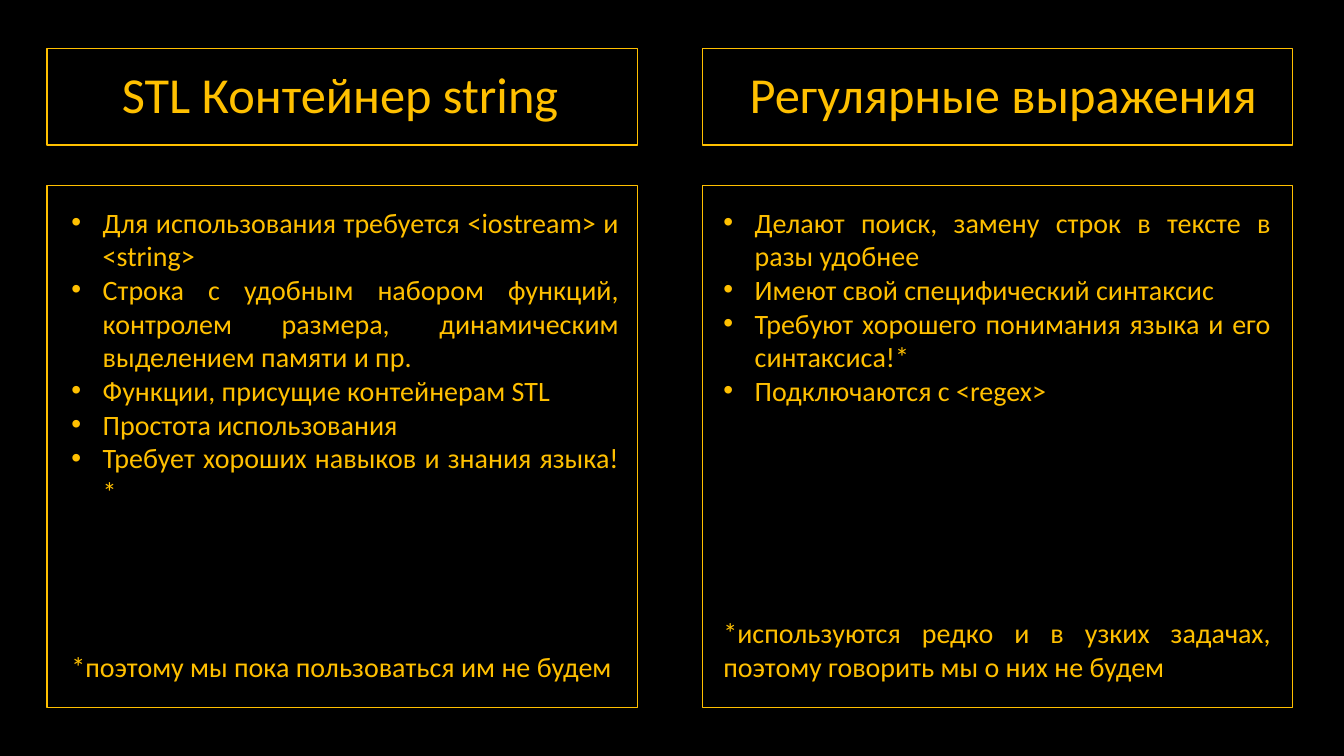
import pptx
import pptx.dml.color
import pptx.enum.shapes
import pptx.enum.text
import pptx.oxml.ns
import pptx.util
import lxml.etree

Cm = pptx.util.Cm
Pt = pptx.util.Pt
Align = pptx.enum.text.PP_ALIGN

GOLD = pptx.dml.color.RGBColor(0xFF, 0xC0, 0x00)
BLACK = pptx.dml.color.RGBColor(0x00, 0x00, 0x00)
FONT = "Calibri"
INDENT = Cm(0.79)

# Each column: frame left, title left, body left, title, points, note, gap above note (pt)
COLUMNS = [
    (1.19, 1.3, 1.55, "STL Контейнер string",
     ["Для использования требуется <iostream> и <string>",
      "Строка с удобным набором функций, контролем размера, "
      "динамическим выделением памяти и пр.",
      "Функции, присущие контейнерам STL",
      "Простота использования",
      "Требует хороших навыков и знания языка!*"],
     "*поэтому мы пока пользоваться им не будем", 101),
    (17.7, 18.01, 17.98, "Регулярные выражения",
     ["Делают поиск, замену строк в тексте в разы удобнее",
      "Имеют свой специфический синтаксис",
      "Требуют хорошего понимания языка и его синтаксиса!*",
      "Подключаются с <regex>"],
     "*используются редко и в узких задачах, поэтому говорить мы о них не будем",
     149),
]


def add_frame(slide, left, top, width, height):
    frame = slide.shapes.add_shape(
        pptx.enum.shapes.MSO_SHAPE.RECTANGLE,
        Cm(left), Cm(top), Cm(width), Cm(height))
    frame.shadow.inherit = False
    frame.fill.background()
    frame.line.color.rgb = GOLD
    frame.line.width = Pt(1)


def add_text(slide, left, top, width, height, lines, size, align):
    """Add a text box with one paragraph per line and return the paragraphs."""
    box = slide.shapes.add_textbox(Cm(left), Cm(top), Cm(width), Cm(height))
    frame = box.text_frame
    frame.word_wrap = True
    frame.auto_size = pptx.enum.text.MSO_AUTO_SIZE.SHAPE_TO_FIT_TEXT
    frame.text = "\n".join(lines)
    for para in frame.paragraphs:
        para.alignment = align
        para.font.name = FONT
        para.font.size = Pt(size)
        para.font.color.rgb = GOLD
    return frame.paragraphs


def add_bullet(para):
    props = para._p.get_or_add_pPr()
    props.set("marL", str(INDENT))
    props.set("indent", str(-INDENT))
    qn = pptx.oxml.ns.qn
    lxml.etree.SubElement(props, qn("a:buFont")).set("typeface", "Arial")
    lxml.etree.SubElement(props, qn("a:buChar")).set("char", "•")


def add_body(slide, left, points, note, gap):
    paras = add_text(slide, left, 5.05, 14.3, 12.4, points + [note], 20,
                     Align.JUSTIFY)
    for para in paras[:-1]:
        add_bullet(para)
    paras[-1].space_before = Pt(gap)


def main():
    deck = pptx.Presentation()
    deck.slide_width = Cm(33.87)
    deck.slide_height = Cm(19.05)
    slide = deck.slides.add_slide(deck.slide_layouts[6])
    slide.background.fill.solid()
    slide.background.fill.fore_color.rgb = BLACK

    for edge, head, body, title, points, note, gap in COLUMNS:
        add_frame(slide, edge, 1.22, 14.88, 2.44)
        add_frame(slide, edge, 4.67, 14.88, 13.16)
        add_text(slide, head, 1.47, 14.55, 1.8, [title], 36, Align.CENTER)
        add_body(slide, body, points, note, gap)

    deck.save("out.pptx")


if __name__ == "__main__":
    main()
